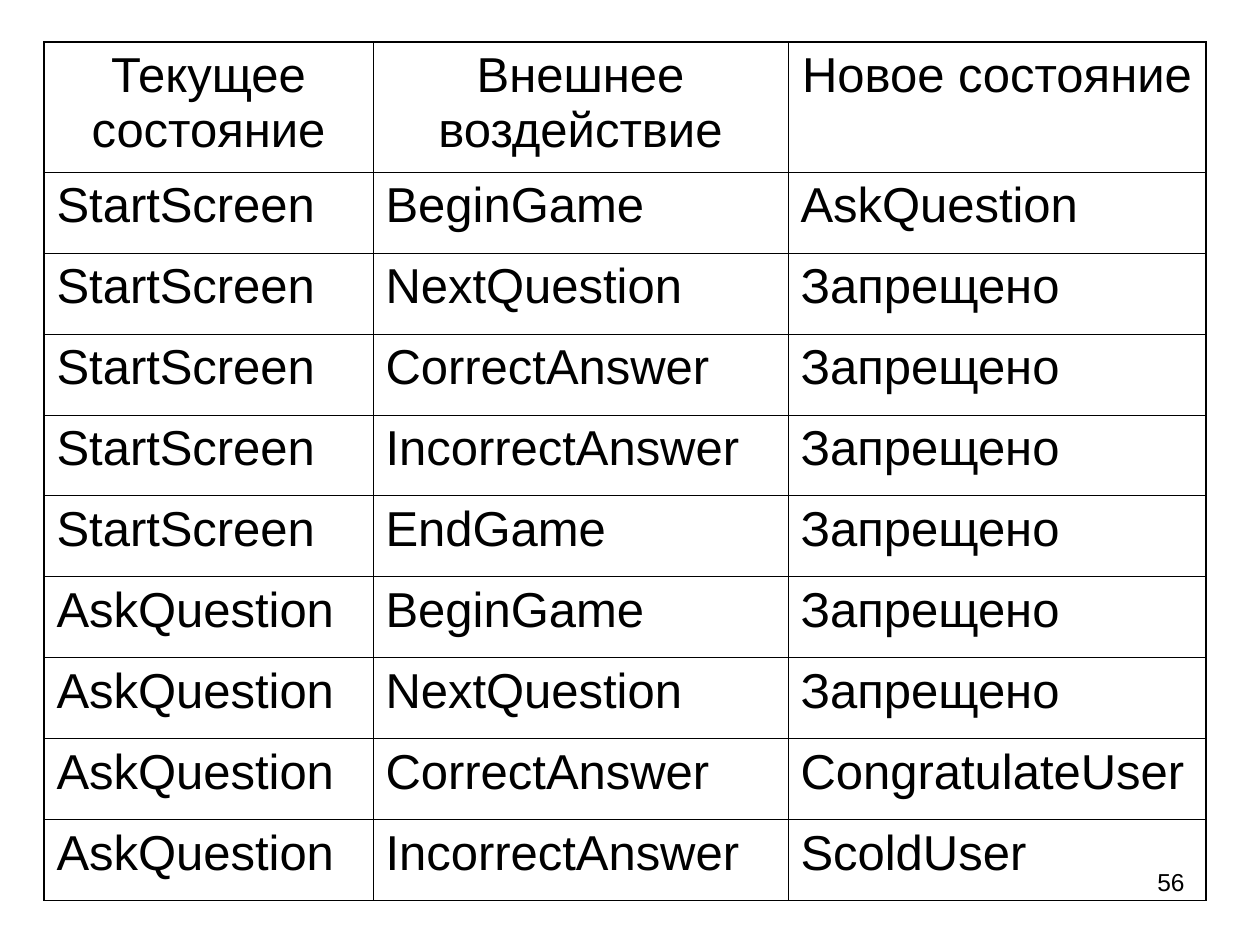
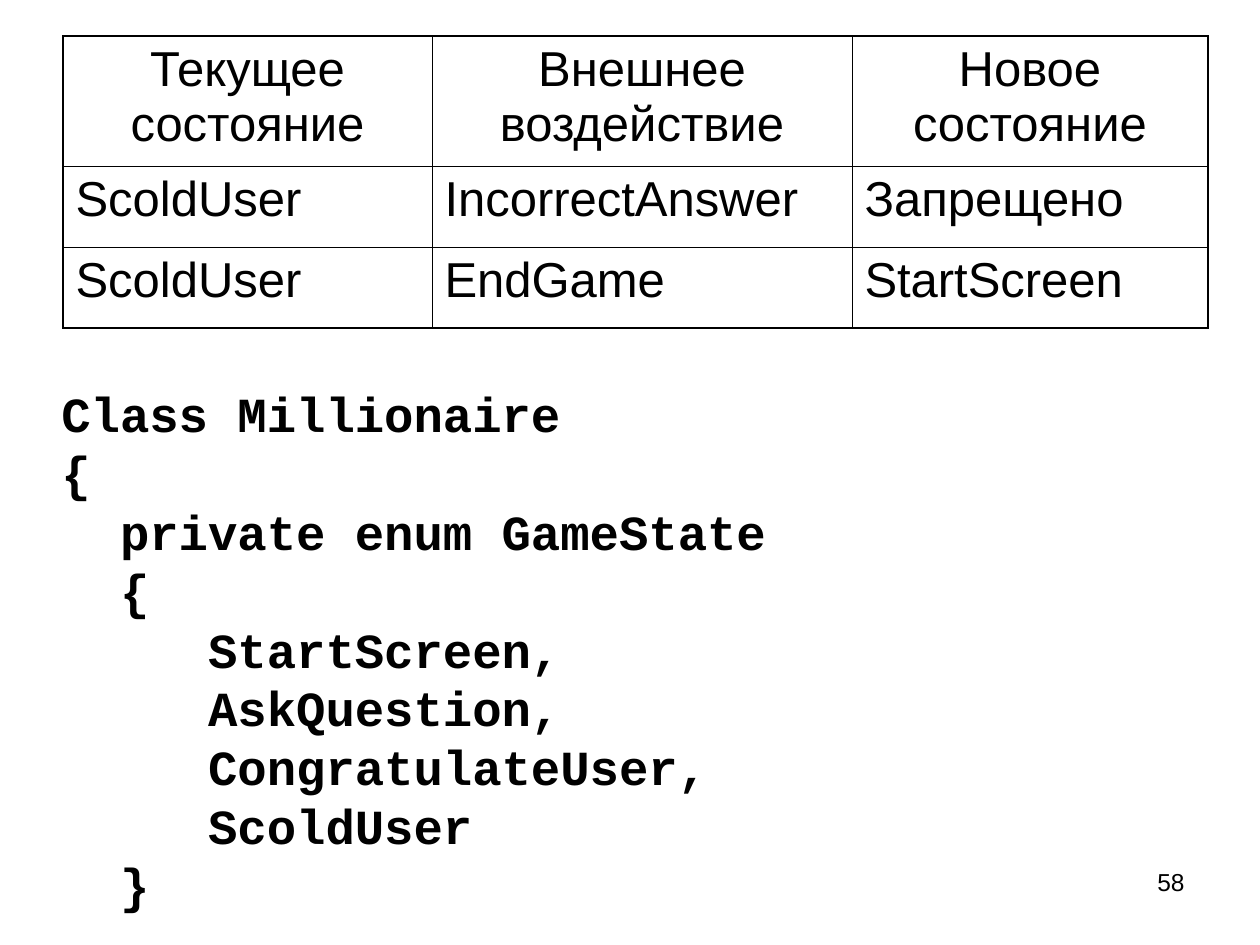
import pptx
import pptx.dml.color
import pptx.enum.text
import pptx.util
import pptx.oxml
import pptx.oxml.ns

PX = 914400 / 126
BLACK = pptx.dml.color.RGBColor(0, 0, 0)
WHITE = pptx.dml.color.RGBColor(255, 255, 255)
ALIGN = pptx.enum.text.PP_ALIGN

BODY_FONT = {"name": "Arial", "size": pptx.util.Pt(28), "bold": False}
CODE_FONT = {"name": "Courier New", "size": pptx.util.Pt(28), "bold": True}
NUMBER_FONT = {"name": "Arial", "size": pptx.util.Pt(14), "bold": False}
PLAIN_TABLE = {"first_row": False, "horz_banding": False}
OUTER_LINE, INNER_LINE = 1.08, 0.45
HEADER_HEIGHT, ROW_HEIGHT = 130, 81
NUMBER_BOX = (903, 861, 294, 66)

HEADINGS = ("Текущее состояние", "Внешнее воздействие", "Новое состояние")
FORBIDDEN = "Запрещено"
QUESTION_TRANSITIONS = [
    ("StartScreen", "BeginGame", "AskQuestion"),
    ("StartScreen", "NextQuestion", FORBIDDEN),
    ("StartScreen", "CorrectAnswer", FORBIDDEN),
    ("StartScreen", "IncorrectAnswer", FORBIDDEN),
    ("StartScreen", "EndGame", FORBIDDEN),
    ("AskQuestion", "BeginGame", FORBIDDEN),
    ("AskQuestion", "NextQuestion", FORBIDDEN),
    ("AskQuestion", "CorrectAnswer", "CongratulateUser"),
    ("AskQuestion", "IncorrectAnswer", "ScoldUser"),
]
SCOLD_TRANSITIONS = [
    ("ScoldUser", "IncorrectAnswer", FORBIDDEN),
    ("ScoldUser", "EndGame", "StartScreen"),
]
GAME_STATE_CODE = """Class Millionaire
{
  private enum GameState
  {
     StartScreen,
     AskQuestion,
     CongratulateUser,
     ScoldUser
  }"""


def px(length):
    return pptx.util.Emu(round(length * PX))


def set_values(target, values):
    for name, value in values.items():
        setattr(target, name, value)


def write(paragraph, text, font, align=ALIGN.LEFT):
    paragraph.alignment = align
    run = paragraph.add_run()
    run.text = text
    set_values(run.font, font)
    run.font.color.rgb = BLACK


def add_borders(cell, widths):
    properties = cell._tc.get_or_add_tcPr()
    for index, (side, width) in enumerate(widths.items()):
        border = pptx.oxml.parse_xml(
            f'<a:ln{side} {pptx.oxml.ns.nsdecls("a")} w="{pptx.util.Pt(width)}">'
            f'<a:solidFill><a:srgbClr val="{BLACK}"/></a:solidFill></a:ln{side}>'
        )
        properties.insert(index, border)


def add_transitions(slide, left, top, column_widths, transitions):
    rows = [HEADINGS, *transitions]
    heights = [HEADER_HEIGHT] + [ROW_HEIGHT] * len(transitions)
    frame = slide.shapes.add_table(
        len(rows), len(HEADINGS),
        px(left), px(top), px(sum(column_widths)), px(sum(heights)),
    )
    table = frame.table
    set_values(table, PLAIN_TABLE)
    for column, width in zip(table.columns, column_widths):
        column.width = px(width)
    for row, height in zip(table.rows, heights):
        row.height = px(height)

    last_row, last_column = len(rows) - 1, len(HEADINGS) - 1
    for r, values in enumerate(rows):
        for c, text in enumerate(values):
            cell = table.cell(r, c)
            cell.fill.background()
            edges = {"L": c == 0, "R": c == last_column, "T": r == 0, "B": r == last_row}
            add_borders(cell, {
                side: OUTER_LINE if outer else INNER_LINE for side, outer in edges.items()
            })
            align = ALIGN.CENTER if r == 0 else ALIGN.LEFT
            write(cell.text_frame.paragraphs[0], text, BODY_FONT, align)


def add_text_frame(slide, box):
    frame = slide.shapes.add_textbox(*map(px, box)).text_frame
    frame.word_wrap = True
    return frame


def add_code(slide, box, code):
    frame = add_text_frame(slide, box)
    frame.margin_top = px(12)
    for index, line in enumerate(code.splitlines()):
        paragraph = frame.add_paragraph() if index else frame.paragraphs[0]
        paragraph.line_spacing = pptx.util.Pt(33.6)
        write(paragraph, line, CODE_FONT)


def add_slide(deck, number):
    slide = deck.slides.add_slide(deck.slide_layouts[6])
    slide.background.fill.solid()
    slide.background.fill.fore_color.rgb = WHITE
    return slide, str(number)


def add_page_number(slide, number):
    frame = add_text_frame(slide, NUMBER_BOX)
    write(frame.paragraphs[0], number, NUMBER_FONT, ALIGN.RIGHT)


def build_question_slide(deck):
    slide, number = add_slide(deck, 56)
    add_transitions(slide, 44, 42, (329, 415, 418), QUESTION_TRANSITIONS)
    add_page_number(slide, number)


def build_scold_slide(deck):
    slide, number = add_slide(deck, 58)
    add_transitions(slide, 63, 36, (369, 420, 356), SCOLD_TRANSITIONS)
    add_code(slide, (49, 372, 1158, 543), GAME_STATE_CODE)
    add_page_number(slide, number)


def main():
    deck = pptx.Presentation()
    deck.slide_width, deck.slide_height = px(1260), px(945)
    build_question_slide(deck)
    build_scold_slide(deck)
    deck.save("out.pptx")


if __name__ == "__main__":
    main()
